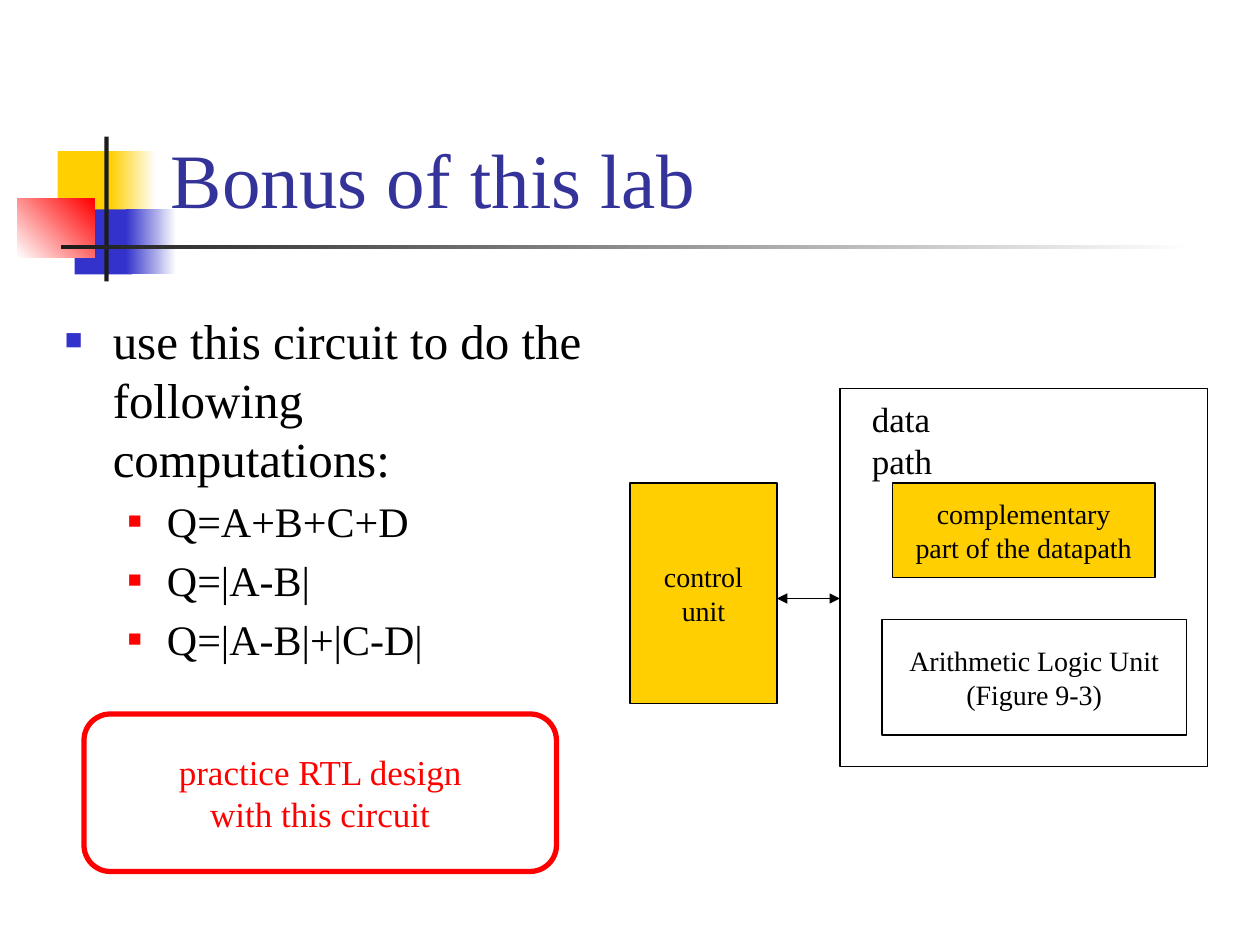
from lxml.etree import SubElement
from pptx import Presentation
from pptx.dml.color import RGBColor
from pptx.enum.shapes import MSO_CONNECTOR as Line, MSO_SHAPE as Shape
from pptx.enum.text import MSO_ANCHOR as Anchor, MSO_AUTO_SIZE as AutoSize, PP_ALIGN as Align
from pptx.oxml.ns import qn
from pptx.util import Inches, Pt

COLUMNS, ROWS = 120, 90
BLACK, WHITE, RED = "000000", "FFFFFF", "FF0000"
GOLD, BLUE, NAVY, CHARCOAL = "FFCF01", "3333CC", "333399", "1C1C1C"


def rgb(value):
    return RGBColor.from_string(value)


class LabSlide:
    font = "Times New Roman"
    border = 0.75

    def __init__(self, deck):
        self.cell_width = deck.slide_width / COLUMNS
        self.cell_height = deck.slide_height / ROWS
        self.slide = deck.slides.add_slide(deck.slide_layouts[6])
        self.shapes = self.slide.shapes

    def place(self, column, row, columns, rows):
        return (round(column * self.cell_width), round(row * self.cell_height),
                round(columns * self.cell_width), round(rows * self.cell_height))

    def style(self, paragraph, size, color):
        for run in paragraph.runs:
            run.font.name = self.font
            run.font.size = Pt(size)
            run.font.color.rgb = rgb(color)

    def block(self, cells, fill=None, kind=Shape.RECTANGLE):
        block = self.shapes.add_shape(kind, *self.place(*cells))
        block.shadow.inherit = False
        block.line.fill.background()
        if fill:
            block.fill.solid()
            block.fill.fore_color.rgb = rgb(fill)
        else:
            block.fill.background()
        return block

    def fade(self, cells, start, end, angle=0):
        fill = self.block(cells).fill
        fill.gradient()
        fill.gradient_angle = angle
        for stop, color in zip(fill.gradient_stops, (start, end)):
            stop.color.rgb = rgb(color)

    def box(self, cells, text="", fill=None, kind=Shape.RECTANGLE,
            size=16, color=BLACK, line=BLACK, width=border):
        box = self.block(cells, fill, kind)
        box.line.color.rgb = rgb(line)
        box.line.width = Pt(width)
        frame = box.text_frame
        frame.text = text
        frame.word_wrap = False
        frame.vertical_anchor = Anchor.MIDDLE
        for paragraph in frame.paragraphs:
            paragraph.alignment = Align.CENTER
            self.style(paragraph, size, color)

    def text(self, cells, text, size, color=BLACK, anchor=Anchor.TOP, wrap=True):
        frame = self.shapes.add_textbox(*self.place(*cells)).text_frame
        frame.text = text
        frame.word_wrap = wrap
        frame.auto_size = AutoSize.NONE if wrap else AutoSize.SHAPE_TO_FIT_TEXT
        frame.vertical_anchor = anchor
        self.style(frame.paragraphs[0], size, color)
        return frame

    def bullet(self, paragraph, level, indent, hanging, color, percent):
        paragraph.level = level
        properties = paragraph._p.get_or_add_pPr()
        properties.set("marL", str(Inches(indent)))
        properties.set("indent", str(-Inches(hanging)))
        bullet_color = SubElement(properties, qn("a:buClr"))
        SubElement(bullet_color, qn("a:srgbClr"), val=color)
        SubElement(properties, qn("a:buSzPct"), val=str(percent * 1000))
        SubElement(properties, qn("a:buFont"), typeface=self.font)
        SubElement(properties, qn("a:buChar"), char="■")

    def bullets(self, cells, lead, items):
        frame = self.text(cells, lead, 28)
        self.bullet(frame.paragraphs[0], 0, 0.38, 0.38, BLUE, 60)
        for item in items:
            paragraph = frame.add_paragraph()
            paragraph.text = item
            self.bullet(paragraph, 1, 0.81, 0.31, RED, 55)
            paragraph.space_before = Pt(4.8)
            self.style(paragraph, 24, BLACK)

    def double_arrow(self, column, row, columns):
        left, top, length, _ = self.place(column, row, columns, 0)
        arrow = self.shapes.add_connector(Line.STRAIGHT, left, top, left + length, top)
        arrow.line.color.rgb = rgb(BLACK)
        arrow.line.width = Pt(self.border)
        outline = arrow.line._get_or_add_ln()
        for end in ("a:headEnd", "a:tailEnd"):
            SubElement(outline, qn(end), type="triangle")
        SubElement(arrow._element.spPr, qn("a:effectLst"))


def main():
    deck = Presentation()
    deck.slide_width, deck.slide_height = Inches(10), Inches(7.5)
    lab = LabSlide(deck)

    lab.block((5.5, 14.4, 5.8, 6.2), GOLD)
    lab.fade((10.5, 14.4, 4.35, 6.2), GOLD, WHITE)
    lab.block((7.1, 19.95, 5.5, 6.2), BLUE)
    lab.fade((12, 19.95, 4.8, 6.2), BLUE, WHITE)
    lab.fade((1.65, 18.95, 7.35, 5.6), WHITE, RED, 45)
    lab.block((9.95, 13, 0.4, 13.8), CHARCOAL)
    lab.fade((5.8, 23.35, 108, 0.4), CHARCOAL, WHITE)

    lab.text((15.1, 2.75, 102.25, 19.2), "Bonus of this lab", 44, NAVY, Anchor.BOTTOM)
    lab.bullets((5, 29, 52, 31), "use this circuit to do the following computations:",
                ("Q=A+B+C+D", "Q=|A-B|", "Q=|A-B|+|C-D|"))

    lab.box((84, 59, 29, 11), "Arithmetic Logic Unit\n(Figure 9-3)")
    lab.box((85, 46, 25, 9), "complementary\npart of the datapath", GOLD)
    lab.box((80, 37, 35, 36))
    lab.text((81.85, 37.25, 14.5, 5.2), "data path", 20, wrap=False)
    lab.box((60, 46, 14, 21), "control\nunit", GOLD)
    lab.double_arrow(74, 57, 6)

    lab.box((8, 68, 45, 15), "practice RTL design\nwith this circuit",
            kind=Shape.ROUNDED_RECTANGLE, size=20, color=RED, line=RED, width=3)
    deck.save("out.pptx")


if __name__ == "__main__":
    main()
